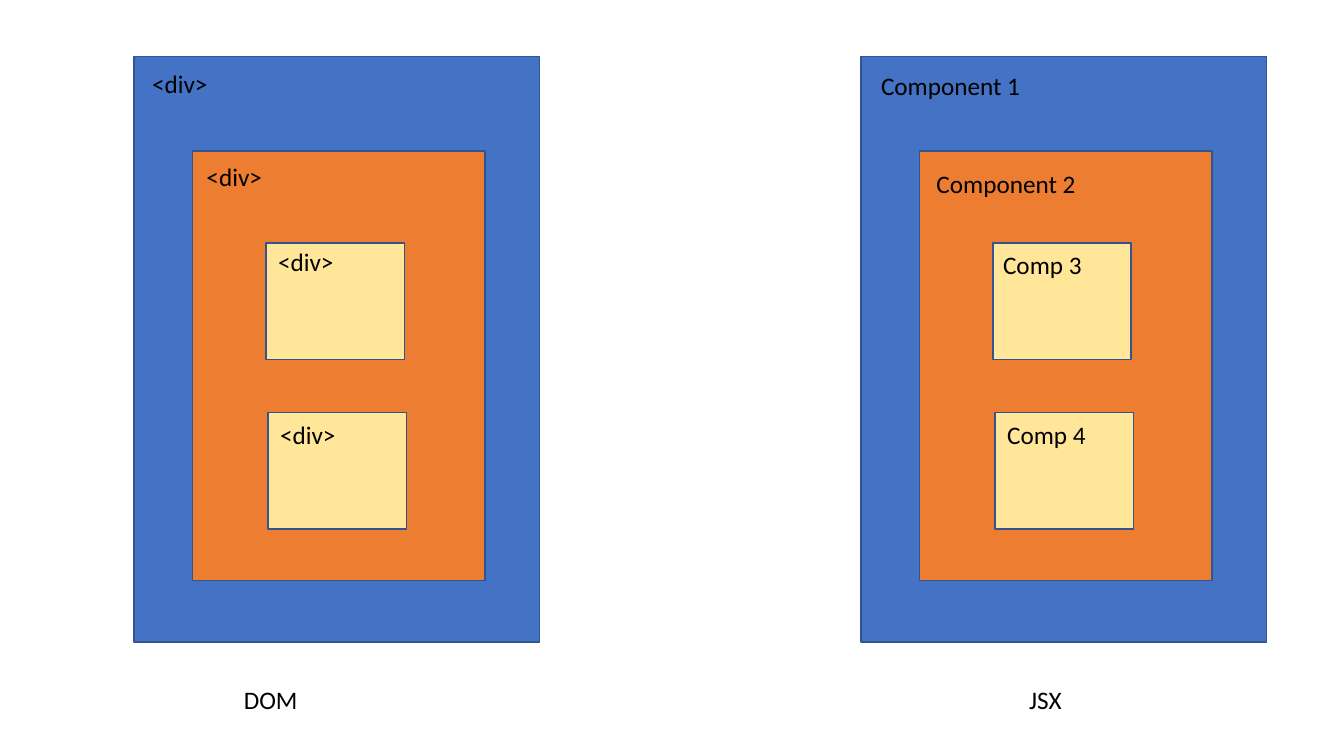
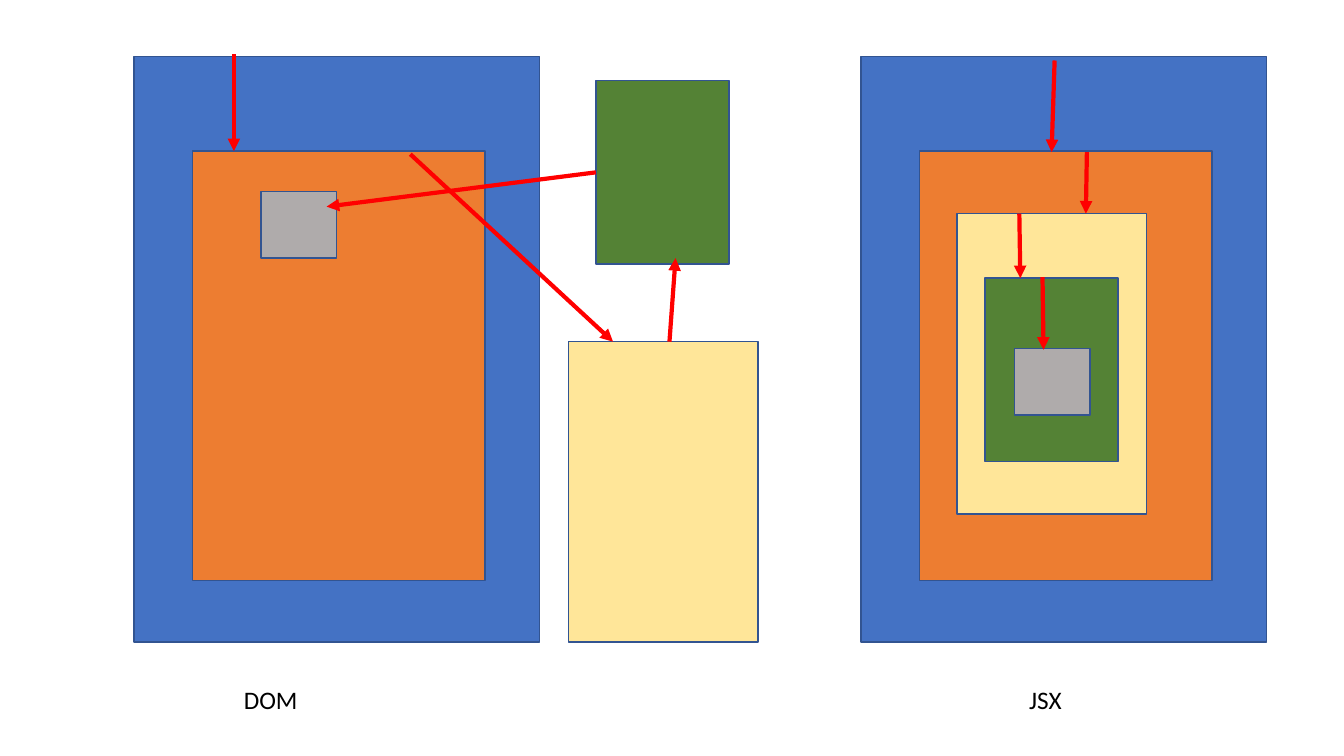
import pptx
import pptx.dml.color
import pptx.enum.shapes
import pptx.enum.text
import pptx.oxml
import pptx.oxml.ns
import pptx.util

PX = 9144  # EMU per px, 100 px to the inch
COLORS = {
    "blue": "4472C4", "orange": "ED7D31", "yellow": "FFE699",
    "green": "548235", "gray": "AFABAB",
    "outline": "325491", "arrow": "FF0000", "text": "000000",
}
FONT = "Calibri"
DOM_LEFT, JSX_LEFT = 133, 854
OUTER_TOP = 56
SMALL_SIZE = (137, 116)
YELLOW_SIZE, GREEN_SIZE, GRAY_SIZE = (188, 298), (132, 182), (75, 66)


def px(length):
    return pptx.util.Emu(length * PX)


def color(name):
    return pptx.dml.color.RGBColor.from_string(COLORS[name])


class Deck:
    """Holds the shared style and the slide being drawn."""

    def __init__(self):
        self.deck = pptx.Presentation()
        self.deck.slide_width, self.deck.slide_height = px(1333), px(750)
        self.page = None

    def add_page(self):
        """Start a slide with the two captioned nested frames."""
        self.page = self.deck.slides.add_slide(self.deck.slide_layouts[6])
        for left in (DOM_LEFT, JSX_LEFT):
            self.box(left, OUTER_TOP, (402, 581), "blue")
            self.box(left + 58, OUTER_TOP + 94, (290, 426), "orange")
        self.label("DOM", 232, 674, 74)
        self.label("JSX", 1011, 674, 53)

    def box(self, left, top, size, fill):
        box = self.page.shapes.add_shape(
            pptx.enum.shapes.MSO_SHAPE.RECTANGLE,
            px(left), px(top), px(size[0]), px(size[1]))
        box.shadow.inherit = False
        box.fill.solid()
        box.fill.fore_color.rgb = color(fill)
        box.line.color.rgb = color("outline")
        box.line.width = pptx.util.Pt(1)
        return box

    def label(self, text, left, top, width):
        frame = self.page.shapes.add_textbox(
            px(left), px(top), px(width), px(40)).text_frame
        frame.word_wrap = False
        frame.auto_size = pptx.enum.text.MSO_AUTO_SIZE.SHAPE_TO_FIT_TEXT
        frame.text = text
        font = frame.paragraphs[0].runs[0].font
        font.name, font.size = FONT, pptx.util.Pt(18)
        font.color.rgb = color("text")

    def arrow(self, start, end):
        arrow = self.page.shapes.add_connector(
            pptx.enum.shapes.MSO_CONNECTOR.STRAIGHT,
            px(start[0]), px(start[1]), px(end[0]), px(end[1]))
        arrow.line.color.rgb = color("arrow")
        arrow.line.width = pptx.util.Pt(3)
        head = pptx.oxml.parse_xml(
            f'<a:tailEnd {pptx.oxml.ns.nsdecls("a")} type="triangle"/>')
        arrow.line._get_or_add_ln().append(head)
        arrow._element.spPr.append(pptx.oxml.parse_xml(
            f'<a:effectLst {pptx.oxml.ns.nsdecls("a")}/>'))
        return arrow

    def save(self):
        self.deck.save("out.pptx")


def add_nesting_page(deck):
    deck.add_page()
    for left in (DOM_LEFT, JSX_LEFT):
        deck.box(left + 131, 241, SMALL_SIZE, "yellow")
        deck.box(left + 133, 409, SMALL_SIZE, "yellow")

    # Component labels
    for text, left, top, width in (
            ("Component 1", 864, 65, 160), ("Component 2", 919, 162, 160),
            ("Comp 3", 985, 242, 99), ("Comp 4", 989, 411, 99)):
        deck.label(text, left, top, width)

    # Element labels
    for left, top in ((141, 63), (195, 155), (266, 239), (268, 411)):
        deck.label("<div>", left, top, 76)


def add_flow_page(deck):
    deck.add_page()

    # Scattered elements on the DOM side
    deck.box(259, 190, GRAY_SIZE, "gray")
    deck.box(564, 339, YELLOW_SIZE, "yellow")
    green = deck.box(591, 80, GREEN_SIZE, "green")

    # Nested components on the JSX side
    deck.box(949, 212, YELLOW_SIZE, "yellow")
    deck.box(977, 276, GREEN_SIZE, "green")
    deck.box(1006, 346, GRAY_SIZE, "gray")

    # Path through the elements, then through the components
    for start, end in (
            ((232, 54), (232, 150)), ((407, 153), (608, 339)),
            ((664, 339), (670, 256)),
            ((1046, 60), (1043, 151)), ((1078, 151), (1077, 212)),
            ((1011, 212), (1012, 276)), ((1034, 275), (1035, 347))):
        deck.arrow(start, end)
    deck.arrow((591, 171), (324, 205)).begin_connect(green, 1)


def main():
    deck = Deck()
    add_nesting_page(deck)
    add_flow_page(deck)
    deck.save()


if __name__ == "__main__":
    main()
